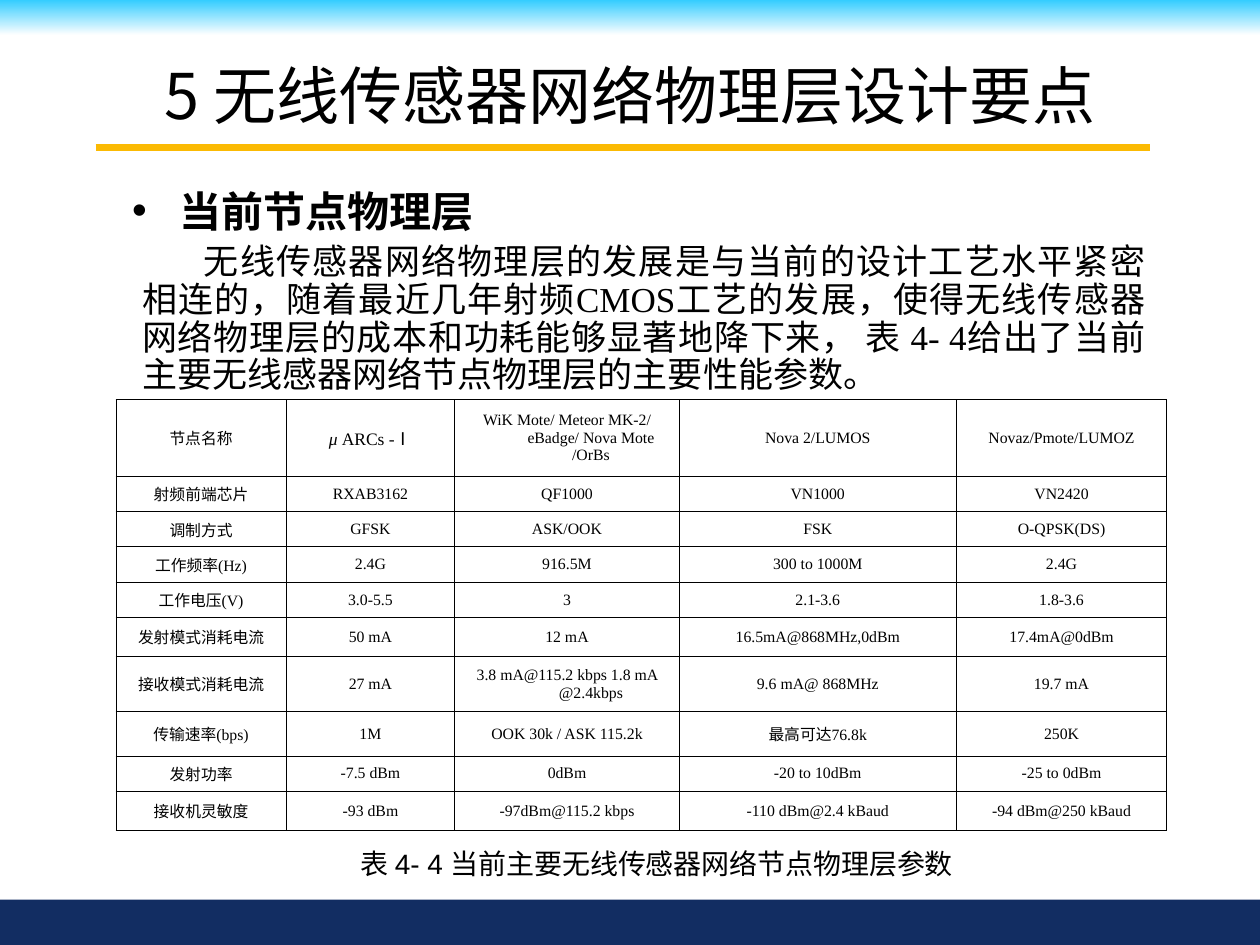
from pptx import Presentation
from pptx.dml.color import RGBColor
from pptx.enum.shapes import MSO_CONNECTOR as Conn, MSO_SHAPE as Geo
from pptx.enum.text import MSO_ANCHOR as Anchor, PP_ALIGN as Align
from pptx.oxml import parse_xml
from pptx.oxml.ns import nsdecls
from pptx.oxml.xmlchemy import OxmlElement as Element
from pptx.util import Inches, Pt

SANS, SERIF = "Noto Sans CJK SC", "Times New Roman"


def color(code):
    return RGBColor.from_string(code)


def add_run(par, text, size, face=SERIF, bold=False, italic=False):
    """Add a black run; Chinese characters always use the sans face."""
    run = par.add_run()
    run.text = text
    font = run.font
    font.size, font.bold, font.italic = Pt(size), bold, italic
    font.color.rgb = color("000000")
    font.name = face
    east = Element("a:ea")
    east.set("typeface", SANS)
    run._r.get_or_add_rPr().append(east)


deck = Presentation()
deck.slide_width, deck.slide_height = Inches(10), Inches(7.5)
slide = deck.slides.add_slide(deck.slide_layouts[6])
shapes = slide.shapes

# Bands and title rule
bands = []
for top, height in [(0, 0.28), (7.14, 0.36)]:
    band = shapes.add_shape(Geo.RECTANGLE, 0, Inches(top), Inches(10), Inches(height))
    band.shadow.inherit = False
    band.line.fill.background()
    bands.append(band)
head, foot = bands
head.fill.gradient()
head.fill.gradient_angle = 270
for stop, code in zip(head.fill.gradient_stops, ["33CCFF", "FFFFFF"]):
    stop.color.rgb = color(code)
foot.fill.solid()
foot.fill.fore_color.rgb = color("122D62")

rule = shapes.add_connector(Conn.STRAIGHT, Inches(0.76), Inches(1.17), Inches(9.13), Inches(1.17))
rule.line.color.rgb = color("FBBA03")
rule.line.width = Pt(3.75)
rule._element.spPr.append(Element("a:effectLst"))

# Title and caption
for text, size, face, wrap, box in [
    ("5 无线传感器网络物理层设计要点", 36, SANS, True, (0.75, 0.33, 8.5, 0.83)),
    ("表 4- 4 当前主要无线传感器网络节点物理层参数", 16, "Arial", False, (2.71, 6.67, 5.01, 0.37)),
]:
    frame = shapes.add_textbox(*map(Inches, box)).text_frame
    frame.word_wrap = wrap
    frame.vertical_anchor = Anchor.MIDDLE
    par = frame.paragraphs[0]
    par.alignment = Align.CENTER
    add_run(par, text, size, face)

# Body text
frame = shapes.add_textbox(Inches(0.83), Inches(1.42), Inches(8.36), Inches(1.83)).text_frame
frame.word_wrap = True
par = frame.paragraphs[0]
props = par._p.get_or_add_pPr()
props.set("marL", str(Inches(0.5)))
props.set("indent", str(Inches(-0.38)))
props.append(parse_xml(f'<a:buFont {nsdecls("a")} typeface="Arial"/>'))
props.append(parse_xml(f'<a:buChar {nsdecls("a")} char="•"/>'))
add_run(par, "当前节点物理层", 24, bold=True)

par = frame.add_paragraph()
par.alignment = Align.JUSTIFY
par.line_spacing = 0.9
par.space_before = Pt(5)
props = par._p.get_or_add_pPr()
props.set("marL", str(Inches(0.2)))
props.set("indent", str(Inches(0.49)))
add_run(par, "无线传感器网络物理层的发展是与当前的设计工艺水平紧密相连的，"
        "随着最近几年射频CMOS工艺的发展，使得无线传感器网络物理层的成本和功耗"
        "能够显著地降下来， 表 4- 4给出了当前主要无线感器网络节点物理层的主要性能参数。", 20)

# Parameter table
rows = [
    ["节点名称", "μ ARCs -Ⅰ", "WiK Mote/ Meteor MK-2/ eBadge/ Nova Mote /OrBs",
     "Nova 2/LUMOS", "Novaz/Pmote/LUMOZ"],
    ["射频前端芯片", "RXAB3162", "QF1000", "VN1000", "VN2420"],
    ["调制方式", "GFSK", "ASK/OOK", "FSK", "O-QPSK(DS)"],
    ["工作频率(Hz)", "2.4G", "916.5M", "300 to 1000M", "2.4G"],
    ["工作电压(V)", "3.0-5.5", "3", "2.1-3.6", "1.8-3.6"],
    ["发射模式消耗电流", "50 mA", "12 mA", "16.5mA@868MHz,0dBm", "17.4mA@0dBm"],
    ["接收模式消耗电流", "27 mA", "3.8 mA@115.2 kbps 1.8 mA @2.4kbps", "9.6 mA@ 868MHz", "19.7 mA"],
    ["传输速率(bps)", "1M", "OOK 30k / ASK 115.2k", "最高可达76.8k", "250K"],
    ["发射功率", "-7.5 dBm", "0dBm", "-20 to 10dBm", "-25 to 0dBm"],
    ["接收机灵敏度", "-93 dBm", "-97dBm@115.2 kbps", "-110 dBm@2.4 kBaud", "-94 dBm@250 kBaud"],
]
widths = [1.35, 1.34, 1.78, 2.2, 1.67]
heights = [0.61, 0.28, 0.28, 0.28, 0.28, 0.31, 0.44, 0.35, 0.28, 0.31]
table = shapes.add_table(len(rows), len(widths), Inches(0.92), Inches(3.17),
                         Inches(sum(widths)), Inches(sum(heights))).table
table.first_row = table.horz_banding = False
for col, width in zip(table.columns, widths):
    col.width = Inches(width)
for row, height, texts in zip(table.rows, heights, rows):
    row.height = Inches(height)
    for cell, text in zip(row.cells, texts):
        cell.vertical_anchor = Anchor.MIDDLE
        cell.margin_left = cell.margin_right = Inches(0.1)
        cell.margin_top = cell.margin_bottom = Inches(0.05)
        props = cell._tc.get_or_add_tcPr()
        for side in ["lnL", "lnR", "lnT", "lnB"]:
            props.append(parse_xml(
                f'<a:{side} {nsdecls("a")} w="{Pt(0.45)}"><a:solidFill>'
                f'<a:srgbClr val="000000"/></a:solidFill></a:{side}>'))
        cell.fill.background()
        par = cell.text_frame.paragraphs[0]
        par.alignment = Align.CENTER
        props = par._p.get_or_add_pPr()
        props.set("marL", str(Inches(0.38)))
        props.set("indent", str(Inches(-0.38)))
        if text.startswith("μ"):
            add_run(par, text[0], 10, italic=True)
            add_run(par, text[1:-1], 10)
            add_run(par, text[-1], 10, SANS)
        else:
            add_run(par, text, 9)

deck.save("out.pptx")
